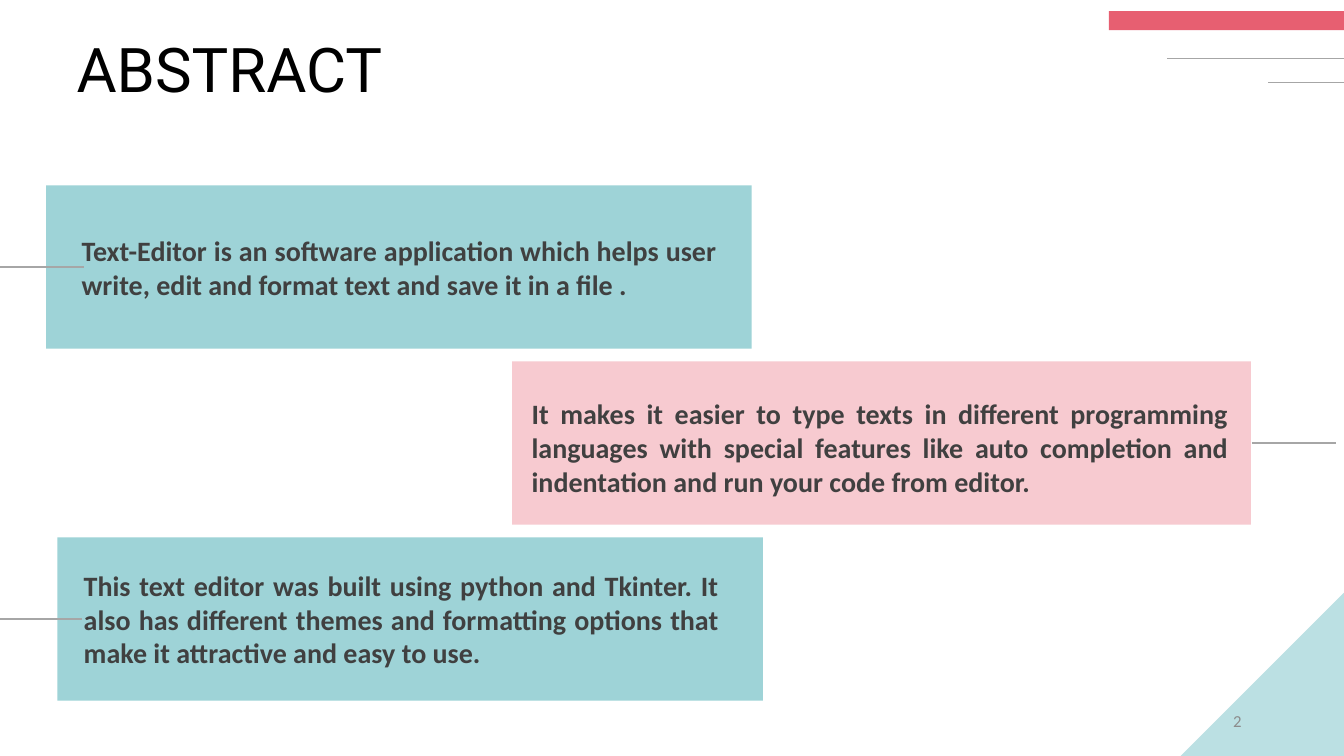
from dataclasses import dataclass

import pptx
import pptx.dml.color
import pptx.enum.shapes
import pptx.enum.text
import pptx.oxml
import pptx.util

Pt = pptx.util.Pt
Align = pptx.enum.text.PP_ALIGN
Anchor = pptx.enum.text.MSO_ANCHOR
Preset = pptx.enum.shapes.MSO_SHAPE


@dataclass(frozen=True)
class Theme:
    title_font: str = "Roboto"
    body_font: str = "Calibri"
    title_size: int = 44
    body_size: int = 20
    number_size: int = 12
    title_color: str = "000000"
    body_color: str = "404040"
    number_color: str = "8C8C8C"
    teal: str = "9ED3D7"
    light_teal: str = "BBE0E3"
    pink: str = "F7CAD0"
    red: str = "E75F71"
    rule: str = "A6A6A6"


THEME = Theme()
WIDTH, HEIGHT = 960, 540
CARD_TOP, CARD_HEIGHT, CARD_PITCH = 132.5, 116.6, 125.7

# card left and width, fill, text inset, text width, text drop, rule start and end, text
CARDS = [
    (33, 504, THEME.teal, 25.3, 453.6, 0, 0, 60,
     "Text-Editor is an software application which helps user write, edit "
     "and format text and save it in a file ."),
    (365.8, 527.8, THEME.pink, 13.9, 497.5, 3, 894.2, 954,
     "It makes it easier to type texts in different programming languages with "
     "special features like auto completion and indentation and run your code "
     "from editor."),
    (41, 504, THEME.teal, 18.8, 453.6, 0, 0, 58.3,
     "This text editor was built using python and Tkinter. It also has different "
     "themes and formatting options that make it attractive and easy to use."),
]


def rgb(color):
    return pptx.dml.color.RGBColor.from_string(color)


def add_block(slide, box, color, preset=Preset.RECTANGLE):
    shape = slide.shapes.add_shape(preset, *map(Pt, box))
    shape.shadow.inherit = False
    shape.fill.solid()
    shape.fill.fore_color.rgb = rgb(color)
    shape.line.fill.background()
    return shape


def add_rule(slide, start, end, y):
    """Draw a thin horizontal grey line."""
    line = slide.shapes.add_connector(
        pptx.enum.shapes.MSO_CONNECTOR.STRAIGHT, Pt(start), Pt(y), Pt(end), Pt(y))
    line.line.color.rgb = rgb(THEME.rule)
    line.line.width = Pt(1)
    properties = line.element.spPr
    properties.append(properties.makeelement(pptx.oxml.ns.qn("a:effectLst"), {}))


def add_text(slide, box, text, font, size, color,
             align=Align.LEFT, anchor=Anchor.MIDDLE, bold=False):
    frame = slide.shapes.add_textbox(*map(Pt, box)).text_frame
    frame.word_wrap = True
    frame.vertical_anchor = anchor
    frame.margin_left = frame.margin_right = 0
    frame.margin_top = frame.margin_bottom = 0
    paragraph = frame.paragraphs[0]
    paragraph.text = text
    paragraph.alignment = align
    paragraph.font.name = font
    paragraph.font.size = Pt(size)
    paragraph.font.bold = bold
    paragraph.font.color.rgb = rgb(color)


def add_card(slide, box, color, inset, text_width, drop, rule_start, rule_end, text):
    """Draw a filled card, the rule at its middle, and its justified text."""
    left, top, width, height = box
    add_block(slide, box, color)
    add_rule(slide, rule_start, min(rule_end, WIDTH), top + height / 2)
    add_text(slide, (left + inset, top + drop, text_width, height), text,
             THEME.body_font, THEME.body_size, THEME.body_color,
             Align.JUSTIFY, bold=True)


def add_top_corner(slide, box):
    """Draw the red bar and the two rules that end at the right edge."""
    left, top, width, height = box
    right = left + width
    add_block(slide, box, THEME.red)
    add_rule(slide, left + 41.8, right, top + 33.9)
    add_rule(slide, left + 113.8, right, top + 51.2)


def add_bottom_corner(slide, box):
    """Draw the corner triangle and the page number on it."""
    left, top, width, height = box
    triangle = add_block(slide, box, THEME.light_teal, Preset.RIGHT_TRIANGLE)
    triangle.element.spPr.xfrm.set("flipH", "1")
    add_text(slide, (left - 165, top + 77, 208.5, 28.8), "2", THEME.body_font,
             THEME.number_size, THEME.number_color, Align.RIGHT)


def build_abstract(slide):
    add_text(slide, (54.7, 22.3, 851, 53.3), "ABSTRACT", THEME.title_font,
             THEME.title_size, THEME.title_color, anchor=Anchor.TOP)
    add_top_corner(slide, (792, 7.9, WIDTH - 792, 13.7))
    add_bottom_corner(slide, (WIDTH - 116.6, HEIGHT - 116.6, 116.6, 116.6))
    for index, (left, width, *details) in enumerate(CARDS):
        top = CARD_TOP + index * CARD_PITCH
        add_card(slide, (left, top, width, CARD_HEIGHT), *details)


def main():
    presentation = pptx.Presentation()
    presentation.slide_width = Pt(WIDTH)
    presentation.slide_height = Pt(HEIGHT)
    build_abstract(presentation.slides.add_slide(presentation.slide_layouts[6]))
    presentation.save("out.pptx")


if __name__ == "__main__":
    main()
